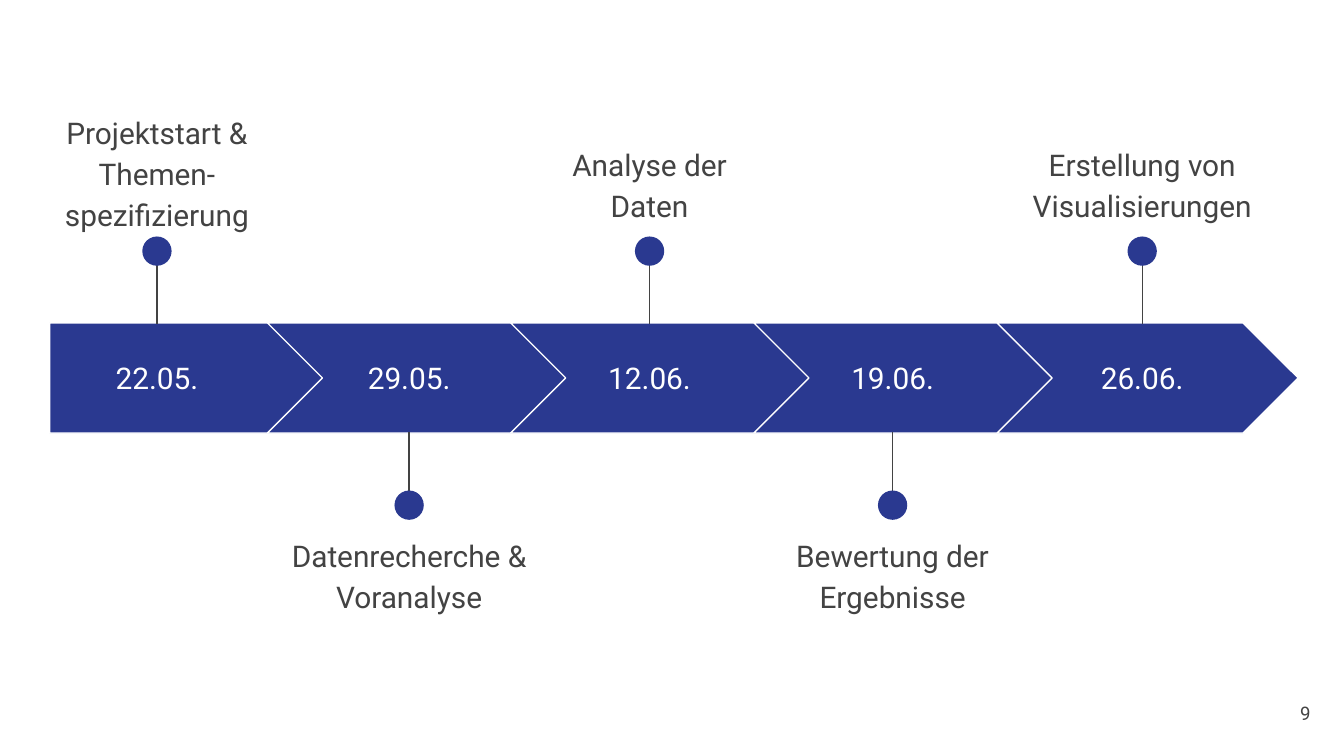
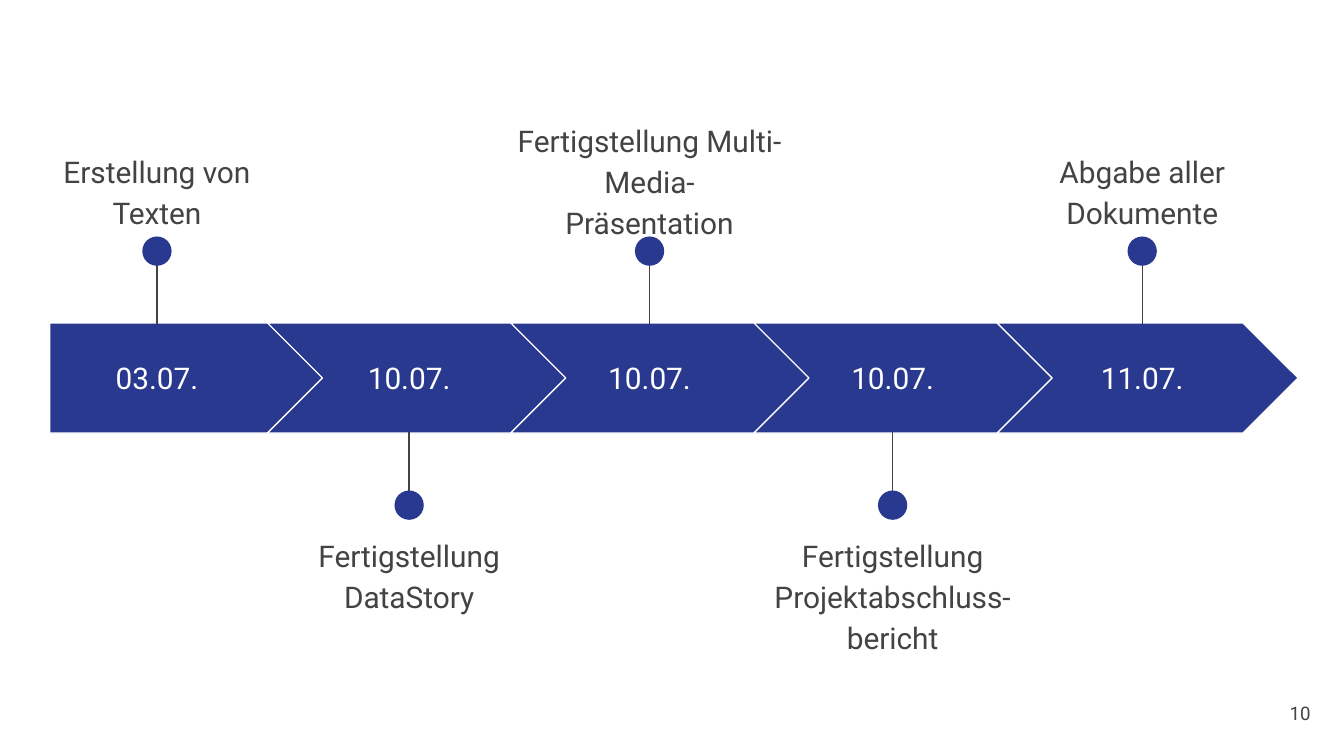
from dataclasses import dataclass

from lxml.etree import SubElement
from pptx import Presentation
from pptx.dml.color import RGBColor as Rgb
from pptx.enum.shapes import MSO_CONNECTOR as Wire, MSO_SHAPE as Kind
from pptx.enum.text import MSO_ANCHOR as Anchor, PP_ALIGN as Align
from pptx.oxml.ns import qn
from pptx.util import Pt


@dataclass(frozen=True)
class Theme:
    font: str = "Roboto"
    blue: Rgb = Rgb.from_string("2A3990")
    ink: Rgb = Rgb.from_string("434343")
    white: Rgb = Rgb.from_string("FFFFFF")
    body: int = 16
    small: int = 10
    rule: float = 0.75
    inset: float = 7.2


# Band of arrows
TOP, HIGH = 173, 59
LEFT, FIRST = 26.6, 147.6
NEXT, STEP, WIDE = 143.3, 130.3, 161.3

# Pins and their labels
PINS = 84.1, 219.2, 348, 478.2, 611.9
BALL = 15.7
BALL_UP, BALL_LOW = 126.7, 262.8
STEM = 43.6
LABEL_W, LABEL_H = 176.4, 71.3
LABEL_LOW = 277.9
DATE_W, DATE_H = 103.7, 36.7


class Deck:
    def __init__(self, theme):
        self.theme = theme
        self.prs = Presentation()
        self.prs.slide_width, self.prs.slide_height = Pt(720), Pt(405)
        self.slide = None

    def page(self):
        self.slide = self.prs.slides.add_slide(self.prs.slide_layouts[6])

    def text(self, words, x, y, w, h, *, size=None, color=None,
             align=Align.CENTER, anchor=Anchor.TOP, lead=None):
        """Add a text box with one paragraph for each line of words."""
        frame = self.slide.shapes.add_textbox(
            Pt(x), Pt(y), Pt(w), Pt(h)).text_frame
        frame.word_wrap = True
        frame.vertical_anchor = anchor
        frame.margin_left = frame.margin_right = Pt(self.theme.inset)
        frame.margin_top = frame.margin_bottom = Pt(self.theme.inset)
        frame.text = words
        for para in frame.paragraphs:
            para.alignment = align
            para.line_spacing = lead
            font = para.runs[0].font
            font.name = self.theme.font
            font.size = Pt(size or self.theme.body)
            font.color.rgb = color or self.theme.ink

    def shape(self, kind, x, y, w, h, *, line=None, home=None):
        """Add a blue shape to home, or to the slide itself."""
        shapes = (home or self.slide).shapes
        item = shapes.add_shape(kind, Pt(x), Pt(y), Pt(w), Pt(h))
        item.shadow.inherit = False
        item.fill.solid()
        item.fill.fore_color.rgb = self.theme.blue
        if line:
            item.line.color.rgb = line
            item.line.width = Pt(self.theme.rule)
        else:
            item.line.fill.background()

    def stem(self, home, x, start, end):
        wire = home.shapes.add_connector(
            Wire.STRAIGHT, Pt(x), Pt(start), Pt(x), Pt(end))
        wire.line.color.rgb = self.theme.ink
        wire.line.width = Pt(self.theme.rule)
        SubElement(wire.element.spPr, qn("a:effectLst"))

    def arrow(self, i, date):
        white = self.theme.white
        if i == 0:
            self.shape(Kind.PENTAGON, LEFT, TOP, FIRST, HIGH, line=white)
        else:
            self.shape(Kind.CHEVRON, NEXT + (i - 1) * STEP, TOP, WIDE, HIGH,
                       line=white)
        self.text(date, PINS[i] - DATE_W / 2, TOP + (HIGH - DATE_H) / 2,
                  DATE_W, DATE_H, color=white, anchor=Anchor.MIDDLE)

    def pin(self, x, low):
        """Join a ball to the band, below it if low, else above."""
        group = self.slide.shapes.add_group_shape()
        if low:
            self.stem(group, x, TOP + HIGH - 0.6 + STEM, TOP + HIGH - 0.6)
        else:
            self.stem(group, x, TOP + 0.4 - STEM, TOP + 0.4)
        self.shape(Kind.OVAL, x - BALL / 2, BALL_LOW if low else BALL_UP,
                   BALL, BALL, home=group)

    def label(self, words, x, y):
        self.text(words, x - LABEL_W / 2, y, LABEL_W, LABEL_H, lead=1.15)

    def number(self, value):
        self.text(str(value), 666, 366.5, 43.2, 31, size=self.theme.small,
                  align=Align.RIGHT, anchor=Anchor.MIDDLE)

    def timeline(self, number, steps):
        self.page()
        for i, (x, (date, words, y)) in enumerate(zip(PINS, steps)):
            self.arrow(i, date)
            self.pin(x, low=i % 2 == 1)
            self.label(words, x, y)
        self.number(number)


# Page number, then date, label and label top of each step
PAGES = {
    9: [
        ("22.05.", "Projektstart & Themen-\nspezifizierung", 51.1),
        ("29.05.", "Datenrecherche & Voranalyse", LABEL_LOW),
        ("12.06.", "Analyse der\nDaten", 68.4),
        ("19.06.", "Bewertung der Ergebnisse", LABEL_LOW),
        ("26.06.", "Erstellung von Visualisierungen", 68.4),
    ],
    10: [
        ("03.07.", "Erstellung von\nTexten", 72),
        ("10.07.", "Fertigstellung DataStory", LABEL_LOW),
        ("10.07.", "Fertigstellung Multi-Media-\nPräsentation", 55.4),
        ("10.07.", "Fertigstellung Projektabschluss-\nbericht", LABEL_LOW),
        ("11.07.", "Abgabe aller Dokumente", 72),
    ],
}


def main():
    deck = Deck(Theme())
    for number, steps in PAGES.items():
        deck.timeline(number, steps)
    deck.prs.save("out.pptx")


if __name__ == "__main__":
    main()
